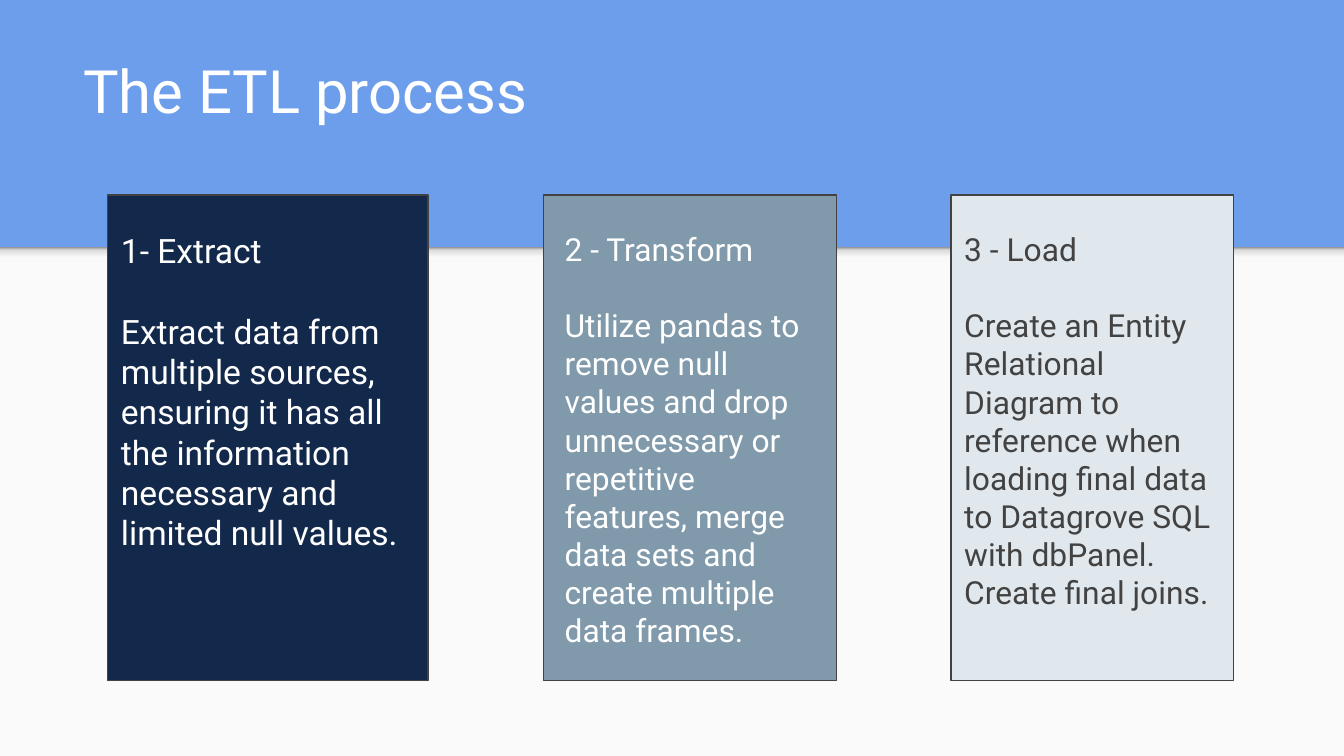
"""Build a slide showing the three steps of an ETL process as cards."""
from copy import deepcopy
from dataclasses import dataclass

from pptx import Presentation
from pptx.dml.color import RGBColor
from pptx.enum.shapes import MSO_SHAPE as Kind
from pptx.enum.text import MSO_ANCHOR as Anchor, MSO_AUTO_SIZE as Fit, PP_ALIGN as Align
from pptx.oxml.ns import qn
from pptx.util import Pt


@dataclass(frozen=True)
class Theme:
    font: str = "Roboto"
    back: str = "6D9EEB"
    base: str = "FAFAFA"
    light: str = "FFFFFF"
    dark: str = "424242"
    head: int = 32
    inset: float = 7.2
    lead: float = 1.2
    shade: tuple = ((0, "F9F9F9"), (0.36, "F9F9F9"), (0.8, "DEDEDE"), (1, "999999"))


LOOK = Theme()
WIDE, HIGH = 720, 405
EDGE = 132.5
CARD_TOP, CARD_HIGH = 104.5, 260
TEXT_TOP = 116
TITLE = "The ETL process"
STEPS = [
    dict(name="1- Extract", left=57.7, wide=171.7, shift=0, span=171.7, high=211,
         fill="13294B", ink=LOOK.light, size=18,
         body="Extract data from multiple sources, ensuring it has all the "
              "information necessary and limited null values."),
    dict(name="2 - Transform", left=291, wide=157, shift=4.4, span=151, high=241,
         fill="8099AB", ink=LOOK.light, size=17,
         body="Utilize pandas to remove null values and drop unnecessary or "
              "repetitive features, merge data sets and create multiple data frames."),
    dict(name="3 - Load", left=509.5, wide=151.3, shift=0, span=151.3, high=220,
         fill="E1E8ED", ink=LOOK.dark, size=17,
         body="Create an Entity Relational Diagram to reference when loading "
              "final data to Datagrove SQL with dbPanel. Create final joins."),
]


def tint(code):
    return RGBColor.from_string(code)


def place(*box):
    return [Pt(n) for n in box]


def add_box(slide, box, fill=None, line=None):
    shape = slide.shapes.add_shape(Kind.RECTANGLE, *place(*box))
    shape.shadow.inherit = False
    if fill:
        shape.fill.solid()
        shape.fill.fore_color.rgb = tint(fill)
    if line:
        shape.line.color.rgb = tint(line)
        shape.line.width = Pt(0.75)
    else:
        shape.line.fill.background()
    return shape


def add_run(para, text, size, ink):
    run = para.add_run()
    run.text = text
    run.font.name = LOOK.font
    run.font.size = Pt(size)
    run.font.color.rgb = tint(ink)


def set_frame(frame, anchor):
    frame.word_wrap = True
    frame.auto_size = Fit.NONE
    frame.vertical_anchor = anchor
    frame.margin_left = frame.margin_right = Pt(LOOK.inset)
    frame.margin_top = frame.margin_bottom = Pt(LOOK.inset)


def add_shade(slide):
    bar = add_box(slide, (0, EDGE, WIDE, 8.6))
    bar.fill.gradient()
    bar.fill.gradient_angle = 90
    stops = next(bar.element.iter(qn("a:gsLst")))
    while len(stops) < len(LOOK.shade):
        stops.append(deepcopy(stops[0]))
    for stop, (spot, code) in zip(bar.fill.gradient_stops, LOOK.shade):
        stop.position = spot
        stop.color.rgb = tint(code)


def add_title(slide):
    title = slide.shapes.title
    title.left, title.top, title.width, title.height = place(37.4, 13.7, 647, 60.5)
    set_frame(title.text_frame, Anchor.BOTTOM)
    para = title.text_frame.paragraphs[0]
    para.alignment = Align.LEFT
    add_run(para, TITLE, LOOK.head, LOOK.light)


def add_text(slide, step):
    box = place(step["left"] + step["shift"], TEXT_TOP, step["span"], step["high"])
    frame = slide.shapes.add_textbox(*box).text_frame
    set_frame(frame, Anchor.TOP)
    add_run(frame.paragraphs[0], step["name"], step["size"], step["ink"])
    para = frame.add_paragraph()
    para.space_before = Pt(LOOK.lead * step["size"])
    add_run(para, step["body"], step["size"], step["ink"])


def main():
    deck = Presentation()
    deck.slide_width, deck.slide_height = place(WIDE, HIGH)
    slide = deck.slides.add_slide(deck.slide_layouts[5])
    slide.background.fill.solid()
    slide.background.fill.fore_color.rgb = tint(LOOK.back)
    add_box(slide, (0, EDGE, WIDE, HIGH - EDGE), LOOK.base)
    add_shade(slide)
    add_title(slide)
    for step in STEPS:
        add_box(slide, (step["left"], CARD_TOP, step["wide"], CARD_HIGH),
                step["fill"], LOOK.dark)
    for step in STEPS:
        add_text(slide, step)
    deck.save("out.pptx")


if __name__ == "__main__":
    main()
